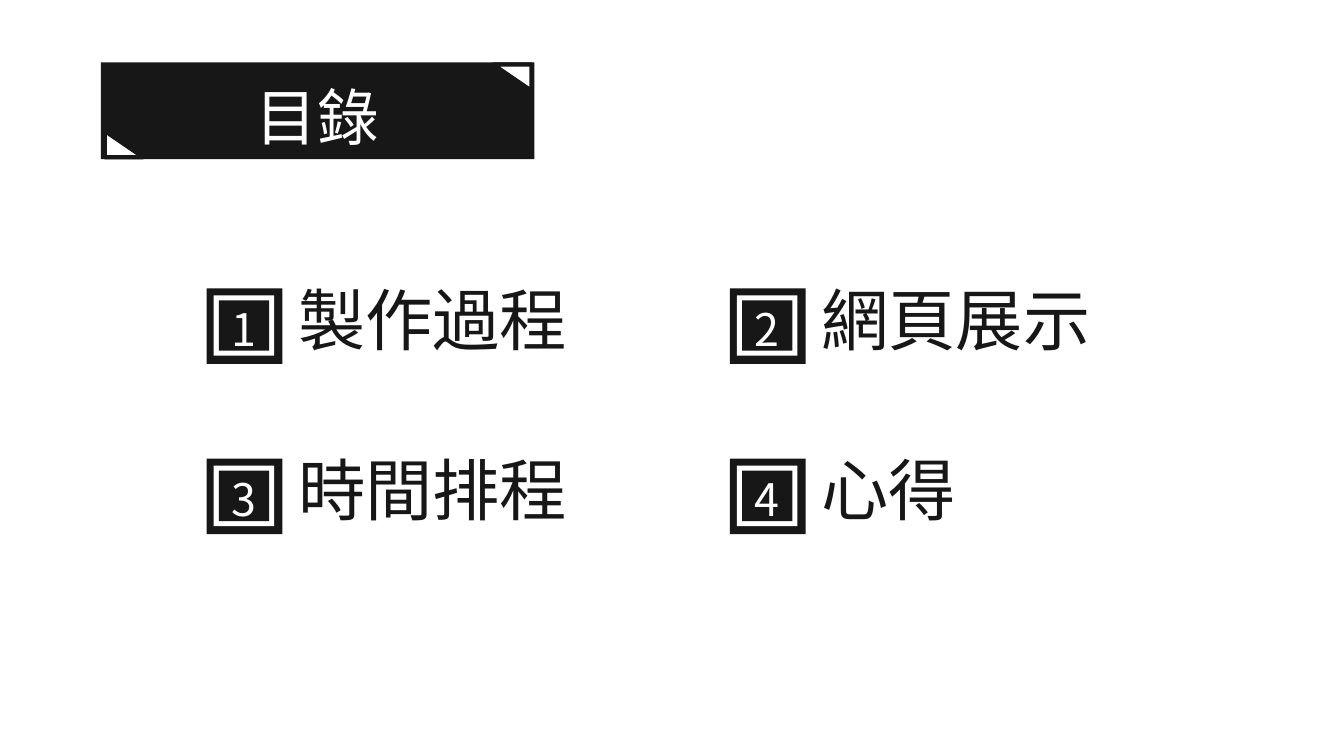
from dataclasses import dataclass

from lxml.etree import SubElement
from pptx import Presentation
from pptx.dml.color import RGBColor
from pptx.enum.shapes import MSO_SHAPE
from pptx.enum.text import PP_ALIGN
from pptx.oxml.ns import qn
from pptx.util import Inches, Pt


@dataclass(frozen=True)
class Theme:
    ink: RGBColor = RGBColor(0x18, 0x17, 0x17)
    paper: RGBColor = RGBColor(0xFF, 0xFF, 0xFF)
    font: str = "Noto Sans CJK SC"
    title_size: int = 44
    topic_size: int = 48
    number_size: int = 32


THEME = Theme()
TOPICS = ["製作過程", "網頁展示", "時間排程", "心得"]
COLUMNS = 2
GRID_LEFT, GRID_TOP = 2.05, 2.86
COLUMN_STEP, ROW_STEP = 5.19, 1.69


def add_filled_shape(shapes, kind, left, top, width, height, color):
    shape = shapes.add_shape(kind, Inches(left), Inches(top), Inches(width), Inches(height))
    shape.shadow.inherit = False
    shape.fill.solid()
    shape.fill.fore_color.rgb = color
    shape.line.fill.background()
    return shape


def add_text(shapes, text, left, top, width, height, size, color,
             align=PP_ALIGN.CENTER, wrap=True):
    box = shapes.add_textbox(Inches(left), Inches(top), Inches(width), Inches(height))
    box.text_frame.word_wrap = wrap
    paragraph = box.text_frame.paragraphs[0]
    paragraph.text = text
    paragraph.alignment = align
    paragraph.font.size = Pt(size)
    paragraph.font.color.rgb = color
    paragraph.font.name = THEME.font
    # Chinese characters take their font from the East Asian setting.
    properties = paragraph._p.pPr.find(qn("a:defRPr"))
    SubElement(properties, qn("a:ea")).set("typeface", THEME.font)


def add_corner(shapes, left, top, rotation):
    """Add a right-angled triangle to a corner of the title banner."""
    corner = add_filled_shape(shapes, MSO_SHAPE.ISOSCELES_TRIANGLE,
                              left, top, 0.38, 0.26, THEME.paper)
    corner.adjustments[0] = 0
    corner.rotation = rotation
    corner.line.color.rgb = THEME.ink
    corner.line.width = Pt(3)


def add_title(slide, text):
    banner = slide.shapes.add_group_shape().shapes
    add_filled_shape(banner, MSO_SHAPE.RECTANGLE, 1, 0.62, 4.3, 0.96, THEME.ink)
    add_corner(banner, 1.04, 1.3, 0)
    add_corner(banner, 4.89, 0.64, 180)
    add_text(slide.shapes, text, 1.3, 0.73, 3.7, 0.83, THEME.title_size, THEME.paper)


def add_badge(slide, number, left, top):
    """Add a number on three nested squares."""
    badge = slide.shapes.add_group_shape().shapes
    squares = [(0, 0.75, THEME.ink), (0.07, 0.6, THEME.paper), (0.12, 0.5, THEME.ink)]
    for inset, side, color in squares:
        add_filled_shape(badge, MSO_SHAPE.RECTANGLE,
                         left + inset, top + inset, side, side, color)
    add_text(badge, str(number), left + 0.08, top + 0.08, 0.57, 0.64,
             THEME.number_size, THEME.paper)


def add_topic(slide, index, text):
    row, column = divmod(index, COLUMNS)
    left = GRID_LEFT + column * COLUMN_STEP
    top = GRID_TOP + row * ROW_STEP
    add_badge(slide, index + 1, left, top)
    add_text(slide.shapes, text, left + 0.81, top - 0.15, 2.9, 0.91,
             THEME.topic_size, THEME.ink, PP_ALIGN.LEFT, wrap=False)


def main():
    presentation = Presentation()
    presentation.slide_width = Inches(13.33)
    presentation.slide_height = Inches(7.5)
    slide = presentation.slides.add_slide(presentation.slide_layouts[6])
    add_title(slide, "目錄")
    for index, text in enumerate(TOPICS):
        add_topic(slide, index, text)
    presentation.save("out.pptx")


if __name__ == "__main__":
    main()
